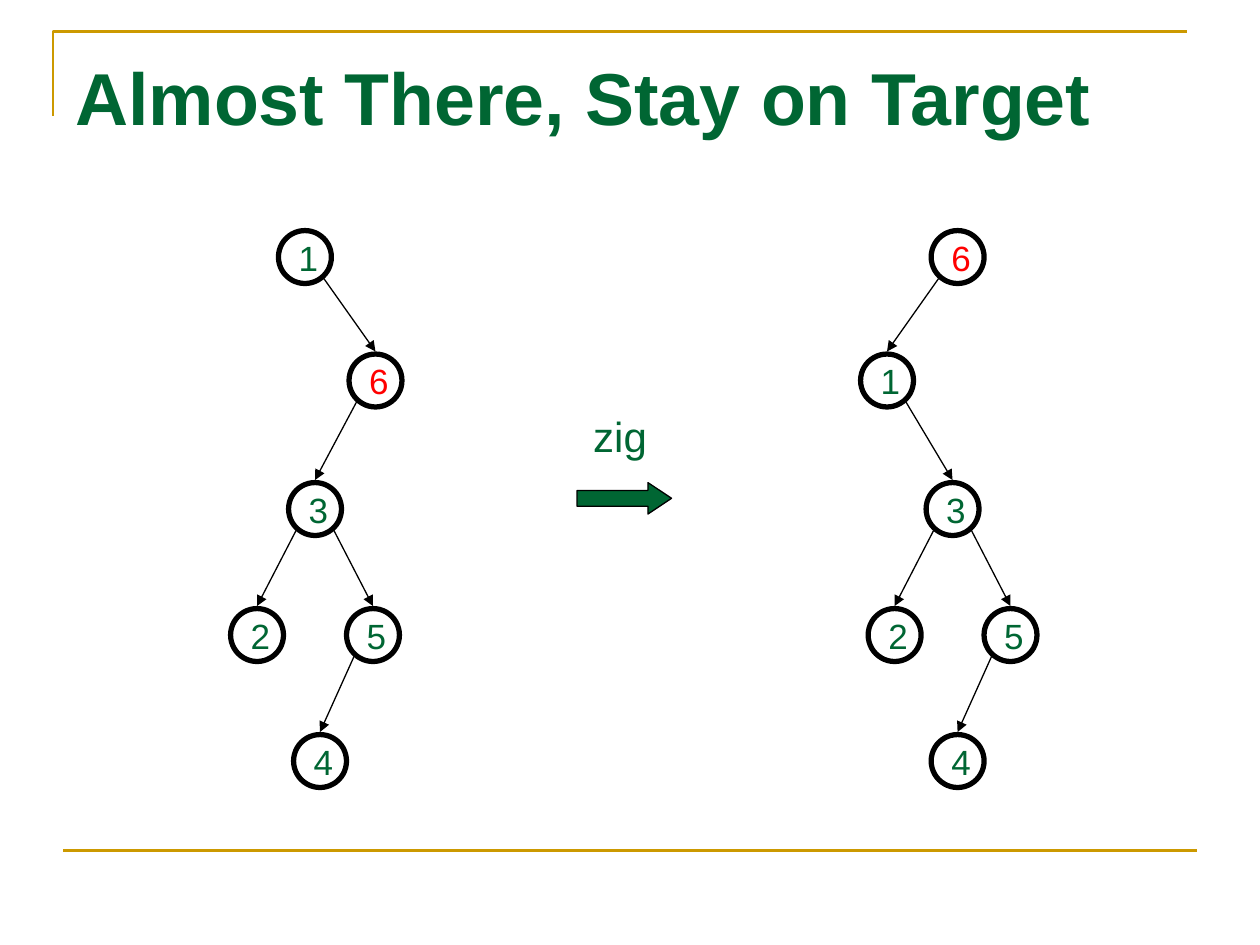
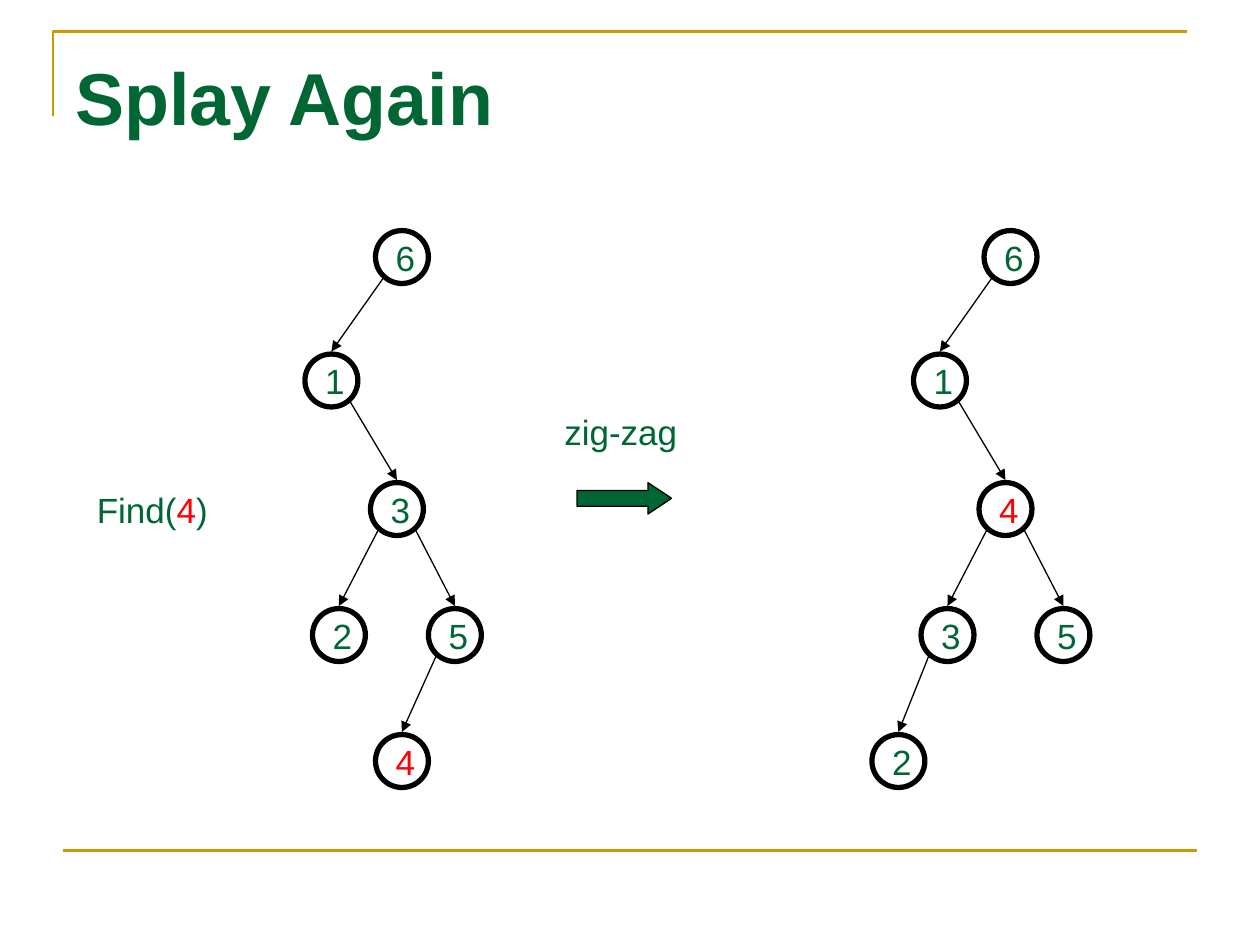
from lxml import etree
from pptx import Presentation
from pptx.dml.color import RGBColor
from pptx.enum import shapes, text
from pptx.oxml.ns import qn
from pptx.util import Inches, Pt

GREEN, RED, GOLD, BLACK = "006633", "FF0000", "CC9900", "000000"
FONT = "Arial"

# Trees: (key, parent key, step right of the parent), root first
BEFORE_ZIG = [("1", None, 0), ("6", "1", 0.56), ("3", "6", -0.48),
              ("2", "3", -0.46), ("5", "3", 0.46), ("4", "5", -0.42)]
AFTER_ZIG = [("6", None, 0), ("1", "6", -0.56), ("3", "1", 0.52),
             ("2", "3", -0.46), ("5", "3", 0.46), ("4", "5", -0.42)]
AFTER_ZIG_ZAG = [("6", None, 0), ("1", "6", -0.56), ("4", "1", 0.52),
                 ("3", "4", -0.46), ("5", "4", 0.46), ("2", "3", -0.39)]

# Slides: each tree comes with the left edge of its root
SLIDES = [
    {"title": "Almost There, Stay on Target", "target": "6",
     "trees": [(2.21, BEFORE_ZIG), (7.39, AFTER_ZIG)],
     "labels": [((4.61, 3.21, 0.63, 0.5), 24, [("zig", GREEN)])]},
    {"title": "Splay Again", "target": "4",
     "trees": [(2.98, AFTER_ZIG), (7.81, AFTER_ZIG_ZAG)],
     "labels": [((4.38, 3.21, 1.11, 0.44), 20, [("zig-zag", GREEN)]),
                ((0.67, 3.83, 1.09, 0.44), 20,
                 [("Find(", GREEN), ("4", RED), (")", GREEN)])]},
]

LEVEL_TOPS = [1.83, 2.81, 3.83, 4.83, 5.83]
NODE = 0.42
EDGE_SIDE, EDGE_DROP, EDGE_GAP = 0.15, 0.38, 0.02


def color(value):
    return RGBColor.from_string(value)


def set_line(shape, value, width):
    shape.line.color.rgb = color(value)
    shape.line.width = Pt(width)


def add_line(page, start, end, value, width, arrow=False):
    line = page.shapes.add_connector(
        shapes.MSO_CONNECTOR.STRAIGHT, *map(Inches, start + end))
    set_line(line, value, width)
    properties = line._element.spPr
    if arrow:
        etree.SubElement(properties.find(qn("a:ln")), qn("a:tailEnd"), type="triangle")
    etree.SubElement(properties, qn("a:effectLst"))


def write(box, spans, size, bold=False):
    box.text_frame.word_wrap = False
    para = box.text_frame.paragraphs[0]
    para.alignment = text.PP_ALIGN.LEFT
    para.font.name, para.font.size, para.font.bold = FONT, Pt(size), bold
    for words, value in spans:
        span = para.add_run()
        span.text = words
        span.font.color.rgb = color(value)


def add_text(page, place, spans, size, bold=False):
    box = page.shapes.add_textbox(*map(Inches, place))
    write(box, spans, size, bold)
    return box


def add_frame(page, title):
    # Gold corner and foot line
    corner = page.shapes.build_freeform(Inches(0.42), Inches(0.92), scale=1.0)
    corner.add_line_segments(
        [(Inches(0.42), Inches(0.25)), (Inches(9.42), Inches(0.25))], close=False)
    outline = corner.convert_to_shape()
    outline.shadow.inherit = False
    outline.fill.background()
    set_line(outline, GOLD, 1.5)
    add_line(page, (0.5, 6.75), (9.5, 6.75), GOLD, 1.5)

    # Title
    box = add_text(page, (0.5, 0.3, 9, 1.25), [(title, GREEN)], 42, bold=True)
    box.text_frame.word_wrap = True
    box.text_frame.margin_top = Inches(0.11)


def add_step_arrow(page):
    arrow = page.shapes.add_shape(
        shapes.MSO_SHAPE.RIGHT_ARROW, *map(Inches, (4.58, 3.83, 0.75, 0.25)))
    arrow.adjustments[0], arrow.adjustments[1] = 0.5, 0.75
    arrow.shadow.inherit = False
    arrow.fill.solid()
    arrow.fill.fore_color.rgb = color(GREEN)
    set_line(arrow, BLACK, 0.75)


def add_node(page, left, top, key, value):
    node = page.shapes.add_shape(
        shapes.MSO_SHAPE.OVAL, *map(Inches, (left, top, NODE, NODE)))
    node.shadow.inherit = False
    node.fill.background()
    set_line(node, BLACK, 3)
    node.text_frame.vertical_anchor = text.MSO_ANCHOR.MIDDLE
    write(node, [(key, value)], 20)


def add_tree(page, root_left, tree, target):
    placed = {}
    for key, parent, step in tree:
        left, level = root_left, 0
        if parent:
            parent_left, parent_level = placed[parent]
            left, level = parent_left + step, parent_level + 1
            side = EDGE_SIDE if step > 0 else -EDGE_SIDE
            start = (parent_left + NODE / 2 + side, LEVEL_TOPS[parent_level] + EDGE_DROP)
            end = (left + NODE / 2, LEVEL_TOPS[level] - EDGE_GAP)
            add_line(page, start, end, BLACK, 0.75, arrow=True)
        placed[key] = left, level
        add_node(page, left, LEVEL_TOPS[level], key, RED if key == target else GREEN)


def main():
    deck = Presentation()
    deck.slide_width, deck.slide_height = Inches(10), Inches(7.5)
    for content in SLIDES:
        page = deck.slides.add_slide(deck.slide_layouts[6])
        add_frame(page, content["title"])
        add_step_arrow(page)
        for place, size, spans in content["labels"]:
            add_text(page, place, spans, size)
        for root_left, tree in content["trees"]:
            add_tree(page, root_left, tree, content["target"])
    deck.save("out.pptx")


if __name__ == "__main__":
    main()
